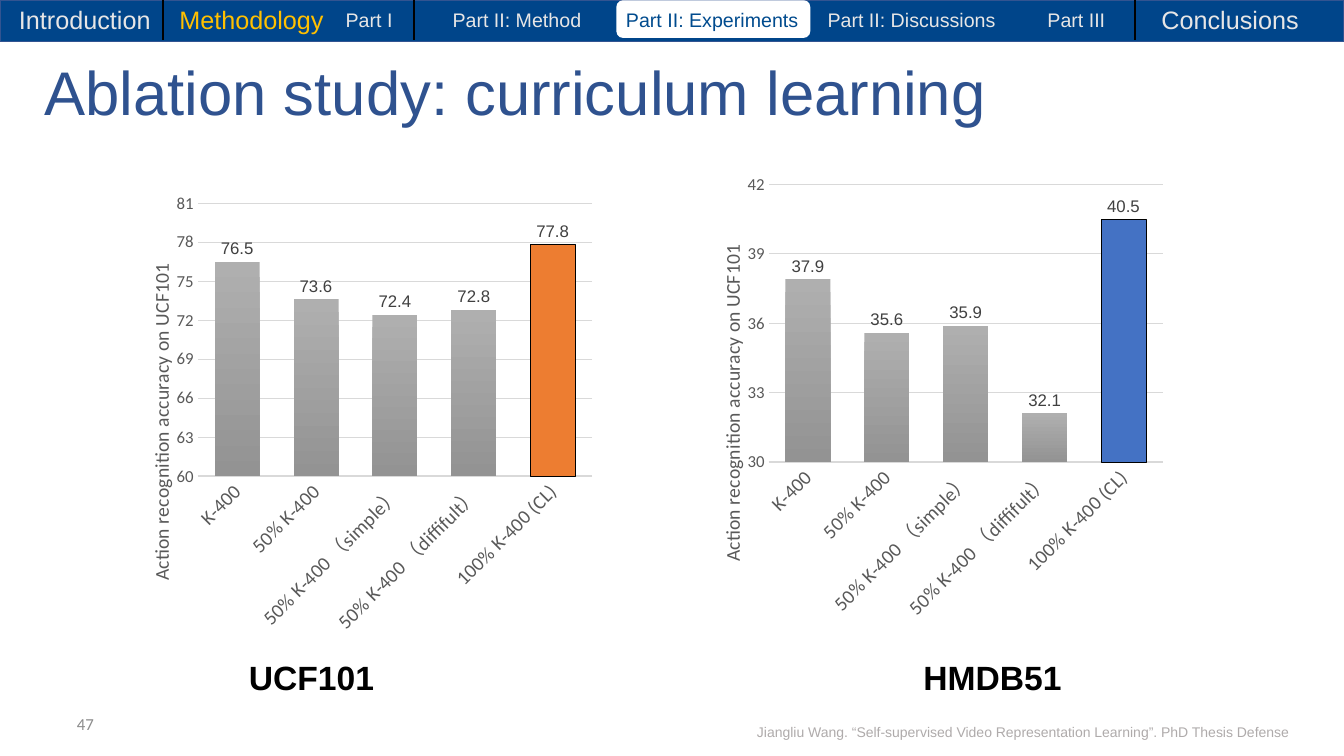
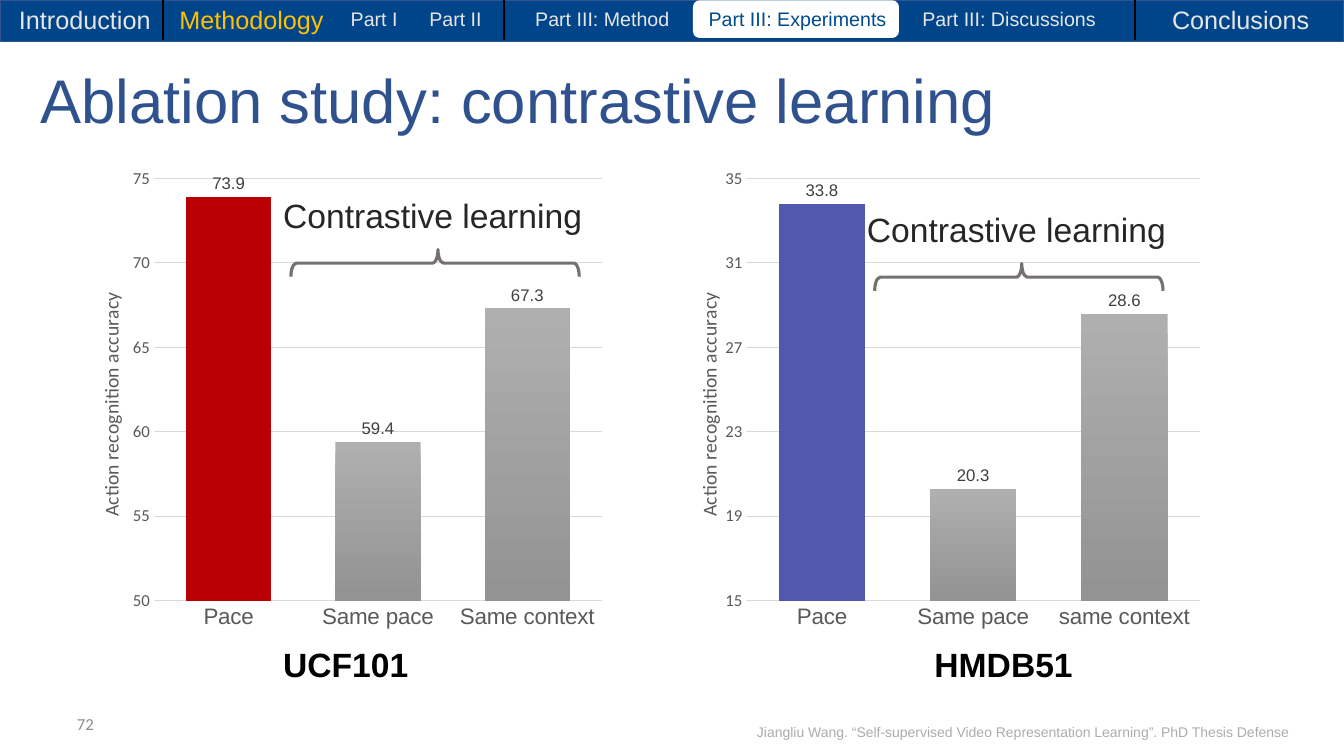
from dataclasses import dataclass

from lxml import etree
from pptx import Presentation
from pptx.chart.data import CategoryChartData
from pptx.dml.color import RGBColor
from pptx.enum.chart import XL_CHART_TYPE as ChartType
from pptx.enum.chart import XL_LABEL_POSITION as LabelPosition
from pptx.enum.chart import XL_TICK_MARK as TickMark
from pptx.enum.shapes import MSO_CONNECTOR as Connector
from pptx.enum.shapes import MSO_SHAPE as Shape
from pptx.enum.text import MSO_ANCHOR as Anchor
from pptx.enum.text import PP_ALIGN as Align
from pptx.oxml.ns import qn
from pptx.util import Inches, Pt

NAVY = RGBColor(0x00, 0x45, 0x8A)
NAVY_EDGE = RGBColor(0x32, 0x54, 0x91)
NAVY_TEXT = RGBColor(0x00, 0x4B, 0x8E)
TITLE_BLUE = RGBColor(0x2F, 0x52, 0x8F)
WHITE = RGBColor(0xFF, 0xFF, 0xFF)
BLACK = RGBColor(0x00, 0x00, 0x00)
PALE = RGBColor(0xE7, 0xE6, 0xE6)
GOLD = RGBColor(0xFF, 0xC0, 0x00)
FOOTER_GRAY = RGBColor(0xAF, 0xAB, 0xAB)
NUMBER_GRAY = RGBColor(0x8C, 0x8C, 0x8C)
AXIS_GRAY = RGBColor(0x59, 0x59, 0x59)
GRID_GRAY = RGBColor(0xD9, 0xD9, 0xD9)
LABEL_GRAY = RGBColor(0x40, 0x40, 0x40)
NOTE_GRAY = RGBColor(0x26, 0x26, 0x26)
BRACE_GRAY = RGBColor(0x76, 0x71, 0x71)
BAR_TOP = RGBColor(0xAF, 0xAF, 0xAF)
BAR_BOTTOM = RGBColor(0x93, 0x93, 0x93)
ORANGE = RGBColor(0xED, 0x7D, 0x31)
BLUE = RGBColor(0x44, 0x72, 0xC4)
RED = RGBColor(0xBA, 0x00, 0x03)
INDIGO = RGBColor(0x51, 0x58, 0xAE)

FOOTER = ("Jiangliu Wang. “Self-supervised Video Representation Learning”. "
          "PhD Thesis Defense")
CURRICULUM = ["K-400", "50% K-400", "50% K-400 （simple）",
              "50% K-400 （diffifult）", "100% K-400 (CL)"]


@dataclass
class BarChart:
    at: tuple
    plot: tuple
    title_at: tuple
    axis_title: str
    scale: tuple
    categories: list
    values: list
    accent: tuple
    category_font: tuple = ("Arial", 16)
    outlined: bool = False
    slanted: bool = False


def inches(lengths):
    return [Inches(length) for length in lengths]


def style_font(font, size, color, name="Arial", bold=False):
    font.color.rgb = color
    formats = {"size": Pt(size), "name": name, "bold": bold}
    for key, value in formats.items():
        setattr(font, key, value)


def add_text(page, at, text, size, color, align=Align.LEFT, anchor=Anchor.TOP,
             name="Arial", bold=False, spacing=None):
    frame = page.shapes.add_textbox(*inches(at)).text_frame
    frame.word_wrap = True
    frame.vertical_anchor = anchor
    para = frame.paragraphs[0]
    para.text = text
    para.alignment = align
    para.line_spacing = spacing
    style_font(para.font, size, color, name, bold)


def add_box(page, kind, at, fill, edge):
    box = page.shapes.add_shape(kind, *inches(at))
    box.shadow.inherit = False
    box.fill.solid()
    box.fill.fore_color.rgb = fill
    box.line.color.rgb = edge
    box.line.width = Pt(1)


def add_divider(page, x):
    line = page.shapes.add_connector(Connector.STRAIGHT, *inches((x, 0, x, 0.4)))
    line.line.color.rgb = BLACK
    line.line.width = Pt(1.5)
    etree.SubElement(line._element.spPr, qn("a:effectLst"))


def add_navigation(page, divider, pill, top, parts, conclusions):
    """Draw the top band; parts are (text, left, width), pill marks the open one."""
    add_box(page, Shape.RECTANGLE, (0, 0, 13.33, 0.41), NAVY, NAVY_EDGE)
    left, width = pill
    add_box(page, Shape.ROUNDED_RECTANGLE, (left, 0.01, width, 0.36), WHITE, WHITE)
    for x in (1.62, divider, 11.26):
        add_divider(page, x)
    sections = [("Introduction", 0.09, 1.53, PALE, Align.LEFT),
                ("Methodology", 1.58, 1.83, GOLD, Align.CENTER),
                ("Conclusions", *conclusions, PALE, Align.CENTER)]
    for text, x, wide, color, align in sections:
        add_text(page, (x, -0.01, wide, 0.4), text, 18, color, align)
    for text, x, wide in parts:
        color = NAVY_TEXT if left - 0.1 < x < left + width else PALE
        add_text(page, (x, top, wide, 0.34), text, 14, color)


def add_page(deck, title, at, number):
    page = deck.slides.add_slide(deck.slide_layouts[5])
    heading = page.shapes.title
    for side, length in zip(("left", "top", "width", "height"), inches(at)):
        setattr(heading, side, length)
    heading.text_frame.vertical_anchor = Anchor.MIDDLE
    para = heading.text_frame.paragraphs[0]
    para.text = title
    para.alignment = Align.LEFT
    para.line_spacing = 0.9
    style_font(para.font, 44, TITLE_BLUE)
    add_text(page, (7.41, 7.09, 5.8, 0.3), FOOTER, 10, FOOTER_GRAY, spacing=1.25)
    add_text(page, (0.34, 6.98, 0.69, 0.4), number, 12, NUMBER_GRAY,
             Align.RIGHT, Anchor.MIDDLE, "Calibri")
    return page


def place(parent, index, fractions, inner=False):
    """Give a chart part a manual layout in fractions of the chart."""
    for old in parent.findall(qn("c:layout")):
        parent.remove(old)
    layout = etree.Element(qn("c:layout"))
    parent.insert(index, layout)
    manual = etree.SubElement(layout, qn("c:manualLayout"))
    settings = [("layoutTarget", "inner")] if inner else []
    settings += [("xMode", "edge"), ("yMode", "edge")]
    settings += zip("xywh", fractions)
    for tag, value in settings:
        etree.SubElement(manual, qn(f"c:{tag}")).set("val", str(value))


def rotate_text(parent, degrees):
    body = next(parent.iter(qn("a:bodyPr")))
    body.set("rot", str(degrees * 60000))
    body.set("vert", "horz")


def style_axes(chart, spec):
    values, categories = chart.value_axis, chart.category_axis
    for axis in (values, categories):
        axis.major_tick_mark = axis.minor_tick_mark = TickMark.NONE
    low, high, step = spec.scale
    scale = {"minimum_scale": low, "maximum_scale": high, "major_unit": step}
    for key, value in scale.items():
        setattr(values, key, value)
    values.format.line.fill.background()
    style_font(values.tick_labels.font, 12, AXIS_GRAY, "Calibri")
    lines = [(values.major_gridlines.format.line, 0.75),
             (categories.format.line, 1)]
    for line, width in lines:
        line.color.rgb = GRID_GRAY
        line.width = Pt(width)
    name, size = spec.category_font
    style_font(categories.tick_labels.font, size, AXIS_GRAY, name)
    if spec.slanted:
        rotate_text(categories._element.find(qn("c:txPr")), -45)
    title = values.axis_title
    para = title.text_frame.paragraphs[0]
    para.text = spec.axis_title
    style_font(para.font, 14, AXIS_GRAY, "Calibri")
    rotate_text(title._element, -90)
    place(title._element, 1, spec.title_at)


def style_bars(plot, spec):
    plot.gap_width = 75
    plot.vary_by_categories = False
    series = plot.series[0]
    fill = series.format.fill
    fill.gradient()
    fill.gradient_angle = 270
    for stop, color in zip(fill.gradient_stops, (BAR_TOP, BAR_BOTTOM)):
        stop.color.rgb = color
    index, color = spec.accent
    bar = series.points[index].format
    bar.fill.solid()
    bar.fill.fore_color.rgb = color
    if spec.outlined:
        bar.line.color.rgb = BLACK
        bar.line.width = Pt(0.5)
    plot.has_data_labels = True
    labels = plot.data_labels
    formats = {"show_value": True, "position": LabelPosition.OUTSIDE_END,
               "number_format": "0.0", "number_format_is_linked": False}
    for key, value in formats.items():
        setattr(labels, key, value)
    style_font(labels.font, 12, LABEL_GRAY)


def add_bar_chart(page, spec):
    data = CategoryChartData()
    data.categories = spec.categories
    data.add_series("Series 1", spec.values)
    chart = page.shapes.add_chart(
        ChartType.COLUMN_CLUSTERED, *inches(spec.at), data).chart
    chart.has_legend = chart.has_title = False
    style_font(chart.font, 10, BLACK, "Calibri")
    style_axes(chart, spec)
    style_bars(chart.plots[0], spec)
    place(chart._chartSpace.chart.plotArea, 0, spec.plot, inner=True)


def add_captions(page, top, lefts):
    for text, left in zip(("UCF101", "HMDB51"), lefts):
        add_text(page, (left, top, 1.6, 0.5), text, 24, BLACK, bold=True)


def add_braced_note(page, left, top):
    add_text(page, (left, top, 3.26, 0.5), "Contrastive learning", 24, NOTE_GRAY)
    brace = page.shapes.add_shape(
        Shape.LEFT_BRACE, *inches((left + 1.47, top - 0.7, 0.27, 2.86)))
    brace.rotation = 90
    brace.adjustments[0] = 0.2
    brace.adjustments[1] = 0.49
    brace.shadow.inherit = False
    brace.fill.background()
    brace.line.color.rgb = BRACE_GRAY
    brace.line.width = Pt(2.25)


def add_curriculum_page(deck):
    page = add_page(deck, "Ablation study: curriculum learning",
                    (0.34, 0.42, 12.04, 1.06), "47")
    shared = {"axis_title": "Action recognition accuracy on UCF101",
              "categories": CURRICULUM, "category_font": ("Calibri", 14),
              "outlined": True, "slanted": True}
    add_bar_chart(page, BarChart(
        at=(1.14, 1.83, 4.83, 4.67), plot=(0.17, 0.04, 0.81, 0.58),
        title_at=(0.06, 0.16), scale=(60, 81, 3),
        values=[76.5, 73.6, 72.4, 72.8, 77.8], accent=(4, ORANGE), **shared))
    add_bar_chart(page, BarChart(
        at=(6.85, 1.69, 4.83, 4.67), plot=(0.16, 0.03, 0.81, 0.59),
        title_at=(0.05, 0.15), scale=(30, 42, 3),
        values=[37.9, 35.6, 35.9, 32.1, 40.5], accent=(4, BLUE), **shared))
    add_captions(page, 6.47, (2.37, 9.06))
    add_navigation(page, 4.11, (6.12, 1.91), 0.03, [
        ("Part I", 3.33, 0.75), ("Part II: Method", 4.39, 1.6),
        ("Part II: Experiments", 6.11, 2.12),
        ("Part II: Discussions", 8.11, 2), ("Part III", 10.29, 0.88),
    ], (11.03, 2.34))


def add_contrastive_page(deck):
    page = add_page(deck, "Ablation study: contrastive learning",
                    (0.3, 0.5, 12.04, 1.06), "72")
    shared = {"axis_title": "Action recognition accuracy",
              "title_at": (0.05, 0.27)}
    add_bar_chart(page, BarChart(
        at=(0.66, 1.58, 5.42, 4.76), plot=(0.16, 0.04, 0.82, 0.88),
        scale=(50, 75, 5), categories=["Pace", "Same pace", "Same context"],
        values=[73.9, 59.4, 67.3], accent=(0, RED), **shared))
    add_bar_chart(page, BarChart(
        at=(6.59, 1.58, 5.42, 4.76), plot=(0.15, 0.04, 0.83, 0.88),
        scale=(15, 35, 4), categories=["Pace", "Same pace", "same context"],
        values=[33.8, 20.3, 28.6], accent=(0, INDIGO), **shared))
    add_braced_note(page, 2.71, 1.88)
    add_braced_note(page, 8.5, 2.02)
    add_captions(page, 6.34, (2.71, 9.17))
    add_navigation(page, 5, (6.88, 2.03), 0.02, [
        ("Part I", 3.38, 0.81), ("Part II", 4.16, 0.8),
        ("Part III: Method", 5.21, 1.65), ("Part III: Experiments", 6.93, 2.1),
        ("Part III: Discussions", 9.05, 2.1),
    ], (11.28, 2.05))


def main():
    deck = Presentation()
    deck.slide_width, deck.slide_height = inches((13.33, 7.5))
    add_curriculum_page(deck)
    add_contrastive_page(deck)
    deck.save("out.pptx")


if __name__ == "__main__":
    main()
